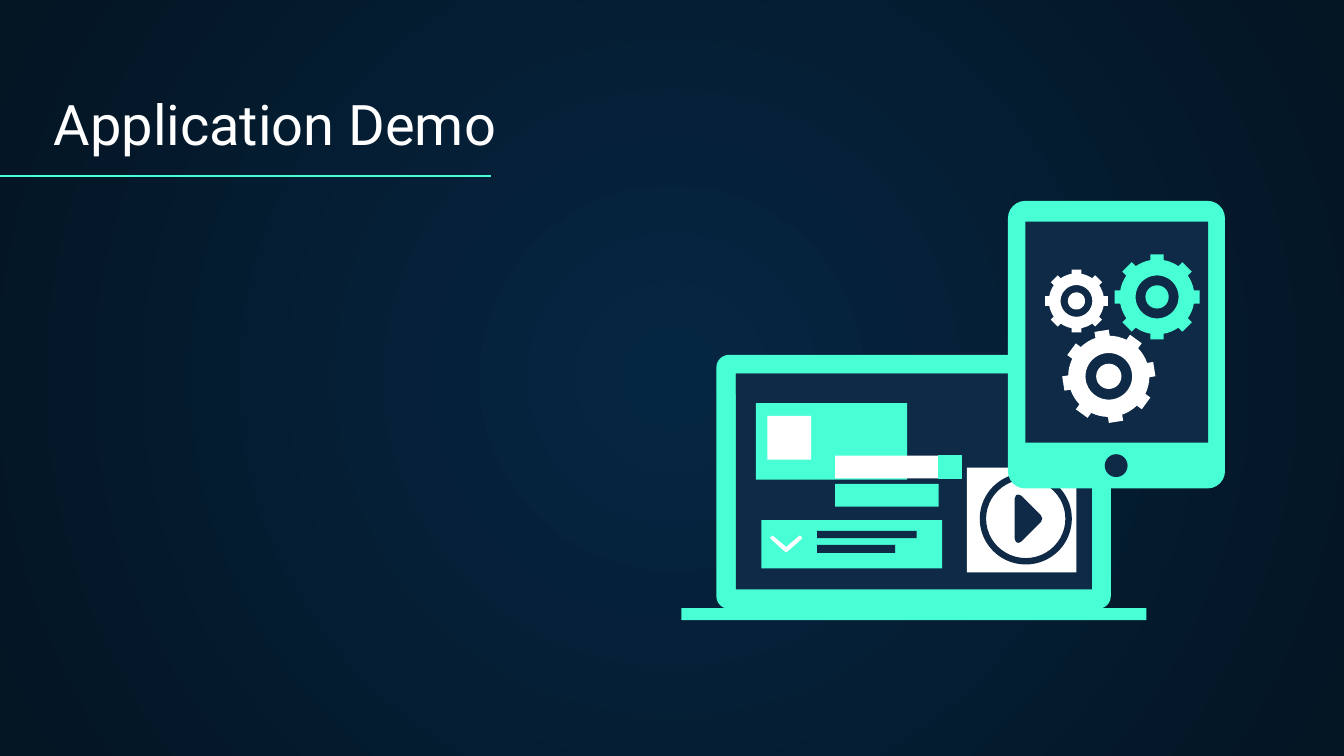
"""Build the Application Demo slide on a grid of 100 columns by 56.25 rows."""
from dataclasses import dataclass
from math import asin, cos, pi, radians, sin

from lxml.etree import SubElement
from pptx import Presentation
from pptx.dml.color import RGBColor
from pptx.enum.shapes import MSO_CONNECTOR, MSO_SHAPE
from pptx.enum.text import MSO_ANCHOR, MSO_AUTO_SIZE, PP_ALIGN
from pptx.oxml.ns import qn
from pptx.shapes.autoshape import Shape
from pptx.slide import Slide
from pptx.util import Inches, Pt

COLUMNS, ROWS = 100, 56.25
CELL = Inches(0.1)
Point = tuple[float, float]


@dataclass(frozen=True)
class Theme:
    """Colours and type of the slide."""
    glow: str = "052643"
    edge: str = "041523"
    mint: str = "48FFD5"
    navy: str = "0E2A47"
    white: str = "FFFFFF"
    font: str = "Roboto"
    title_size: float = 30
    line_width: float = 0.75


@dataclass(frozen=True)
class Block:
    """A preset shape placed by column and row."""
    column: float
    row: float
    width: float
    height: float
    color: str
    kind: MSO_SHAPE = MSO_SHAPE.RECTANGLE
    adjustment: float | None = None
    outlined: bool = False


@dataclass(frozen=True)
class Gear:
    """An eight-toothed gear placed by its centre."""
    column: float
    row: float
    radius: float
    color: str
    tilt: float = 0


THEME = Theme()

LAPTOP = (
    Block(53.3, 26.4, 29.35, 18.9, THEME.mint, MSO_SHAPE.ROUNDED_RECTANGLE, 0.05),
    Block(54.75, 27.8, 26.5, 16.05, THEME.navy),
    Block(50.7, 45.25, 34.6, 0.9, THEME.mint),
    Block(54.75, 27.8, 26.5, 1.5, THEME.navy),
    Block(56.25, 30, 11.25, 5.7, THEME.mint),
    Block(57.1, 30.95, 3.25, 3.25, THEME.white),
    Block(60.2, 38.7, 9.9, 3.6, THEME.mint),
    Block(60.8, 39.5, 7.4, 0.55, THEME.navy),
    Block(60.8, 40.55, 5.8, 0.6, THEME.navy),
    Block(56.65, 38.7, 3.55, 3.6, THEME.mint),
    Block(62.15, 36, 7.7, 1.7, THEME.mint),
    Block(62.15, 33.9, 7.7, 1.7, THEME.white),
    Block(69.85, 33.9, 1.7, 1.7, THEME.mint, outlined=True),
    Block(71.95, 34.8, 8.15, 7.8, THEME.white),
    Block(72.9, 35.2, 6.85, 6.8, THEME.navy, MSO_SHAPE.DONUT, 0.07),
)
TABLET = (
    Block(75, 14.95, 16.15, 21.4, THEME.mint, MSO_SHAPE.ROUNDED_RECTANGLE, 0.08),
    Block(76.3, 16.5, 13.6, 16.45, THEME.navy),
    Block(82.2, 33.8, 1.7, 1.7, THEME.navy, MSO_SHAPE.OVAL),
)
GEARS = (
    Gear(86.1, 22.1, 3.2, THEME.mint),
    Gear(80.1, 22.4, 2.36, THEME.white),
    Gear(82.5, 28, 3.47, THEME.white, -9),
)
CHEVRON = [(57.5, 39.85), (58.5, 40.7), (59.5, 39.85), (59.7, 40), (59.6, 40.15),
           (58.65, 41), (58.5, 41.1), (58.35, 41), (57.4, 40.15), (57.3, 40)]
PLAY = [(75.5, 37.1), (75.6, 36.85), (75.8, 36.8), (76, 36.9), (77.45, 38.35),
        (77.55, 38.6), (77.45, 38.85), (76, 40.3), (75.8, 40.4), (75.6, 40.35),
        (75.5, 40.1)]


def emu(cells: float) -> int:
    """Turn grid cells into slide units."""
    return round(cells * CELL)


def paint(shape: Shape, color: str, outlined: bool = False) -> None:
    """Give a shape a flat fill and an optional line of the same colour."""
    shape.shadow.inherit = False
    shape.fill.solid()
    shape.fill.fore_color.rgb = RGBColor.from_string(color)
    if outlined:
        shape.line.color.rgb = RGBColor.from_string(color)
        shape.line.width = Pt(THEME.line_width)
    else:
        shape.line.fill.background()


def draw_block(slide: Slide, block: Block) -> None:
    """Draw one preset shape."""
    box = map(emu, (block.column, block.row, block.width, block.height))
    shape = slide.shapes.add_shape(block.kind, *box)
    if block.adjustment is not None:
        shape.adjustments[0] = block.adjustment
    paint(shape, block.color, block.outlined)


def draw_outline(slide: Slide, contours: list[list[Point]], color: str) -> None:
    """Draw closed contours as one filled freeform."""
    paths = [[(emu(x), emu(y)) for x, y in contour] for contour in contours]
    builder = slide.shapes.build_freeform(*paths[0][0])
    for index, points in enumerate(paths):
        if index:
            builder.move_to(*points[0])
        builder.add_line_segments(points[1:], close=True)
    paint(builder.convert_to_shape(), color)


def draw_gear(slide: Slide, gear: Gear) -> None:
    """Draw a gear with a ring-shaped gap around its hub."""
    teeth, half_tooth, body, gap, hub = 8, 0.155, 0.87, 0.5, 0.27
    arc_steps, circle_steps = 4, 48

    def polar(share: float, angle: float) -> Point:
        """Place a point at a share of the gear's radius."""
        reach = share * gear.radius
        return gear.column + reach * sin(angle), gear.row - reach * cos(angle)

    pitch = 2 * pi / teeth
    root, tip = asin(half_tooth / body), asin(half_tooth)
    rim = []
    for tooth in range(teeth):
        middle = radians(gear.tilt) + tooth * pitch
        rim += [polar(body, middle - root), polar(1, middle - tip), polar(1, middle + tip)]
        rim += [polar(body, middle + root + (pitch - 2 * root) * step / arc_steps)
                for step in range(arc_steps)]
    circles = [[polar(share, 2 * pi * step / circle_steps) for step in range(circle_steps)]
               for share in (gap, hub)]
    draw_outline(slide, [rim, *circles], gear.color)


def set_background(slide: Slide) -> None:
    """Fill the background with a glow from the centre."""
    fill = slide.background.fill
    fill.gradient()
    for stop, color in zip(fill.gradient_stops, (THEME.glow, THEME.edge)):
        stop.color.rgb = RGBColor.from_string(color)
    gradient = slide.background._cSld.find(".//" + qn("a:gradFill"))
    gradient.remove(gradient.find(qn("a:lin")))
    circle = SubElement(gradient, qn("a:path"), path="circle")
    SubElement(circle, qn("a:fillToRect"), dict.fromkeys("ltrb", "50000"))


def set_title(slide: Slide, text: str, *, size: float, color: str) -> None:
    """Place and format the title placeholder."""
    title = slide.shapes.title
    title.left, title.top, title.width, title.height = map(emu, (3, 6.1, 85.7, 6.6))
    frame = title.text_frame
    frame.text = text
    frame.word_wrap = True
    frame.auto_size = MSO_AUTO_SIZE.NONE
    frame.vertical_anchor = MSO_ANCHOR.BOTTOM
    frame.margin_left = frame.margin_right = emu(1)
    frame.margin_top = frame.margin_bottom = emu(1)
    paragraph = frame.paragraphs[0]
    paragraph.alignment = PP_ALIGN.LEFT
    paragraph.font.name = THEME.font
    paragraph.font.size = Pt(size)
    paragraph.font.color.rgb = RGBColor.from_string(color)


def draw_rule(slide: Slide, row: float, end: float) -> None:
    """Draw the line under the title from the left edge."""
    rule = slide.shapes.add_connector(MSO_CONNECTOR.STRAIGHT, 0, emu(row), emu(end), emu(row))
    rule.line.color.rgb = RGBColor.from_string(THEME.mint)
    rule.line.width = Pt(THEME.line_width)
    SubElement(rule._element.spPr, qn("a:effectLst"))


def main() -> None:
    """Build and save the presentation."""
    presentation = Presentation()
    presentation.slide_width, presentation.slide_height = emu(COLUMNS), emu(ROWS)
    slide = presentation.slides.add_slide(presentation.slide_layouts.get_by_name("Title Only"))
    set_background(slide)
    set_title(slide, "Application Demo", size=THEME.title_size, color=THEME.white)
    draw_rule(slide, 13.1, 36.5)
    for block in LAPTOP:
        draw_block(slide, block)
    draw_outline(slide, [CHEVRON], THEME.white)
    draw_outline(slide, [PLAY], THEME.navy)
    for block in TABLET:
        draw_block(slide, block)
    for gear in GEARS:
        draw_gear(slide, gear)
    presentation.save("out.pptx")


if __name__ == "__main__":
    main()
